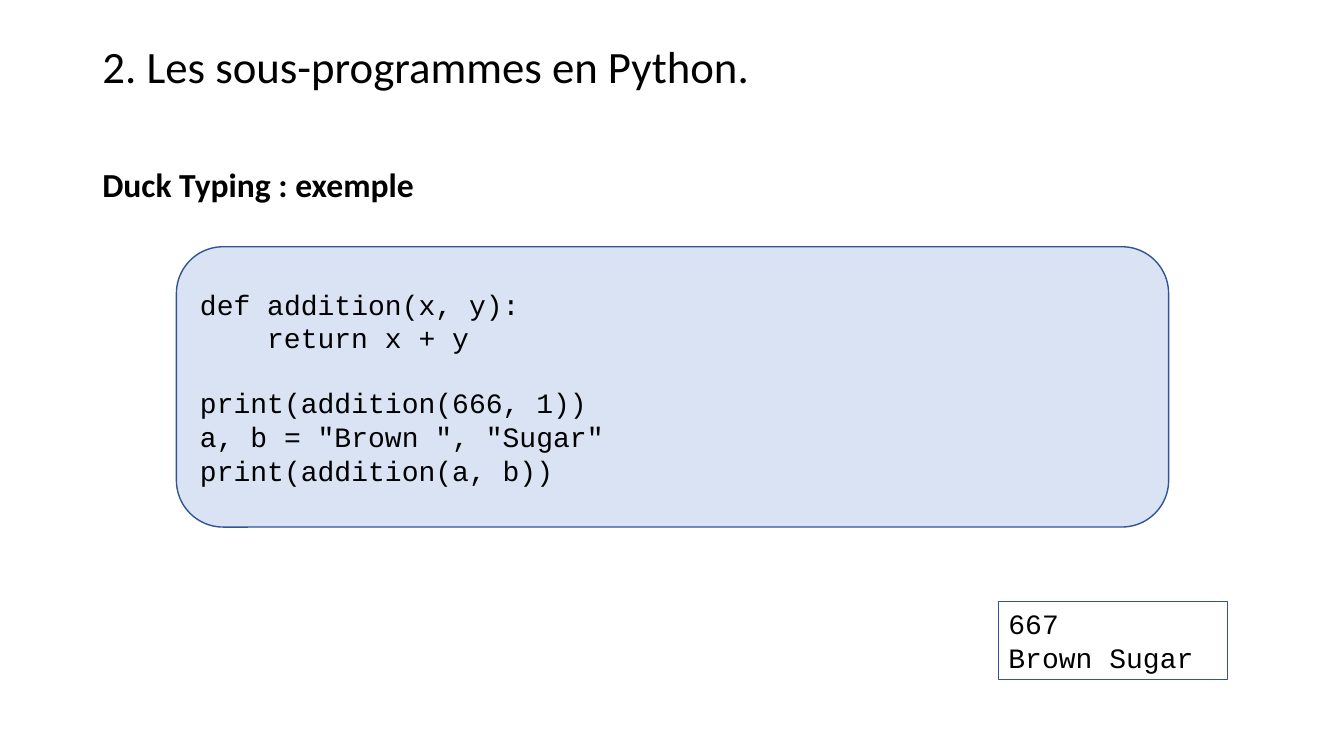
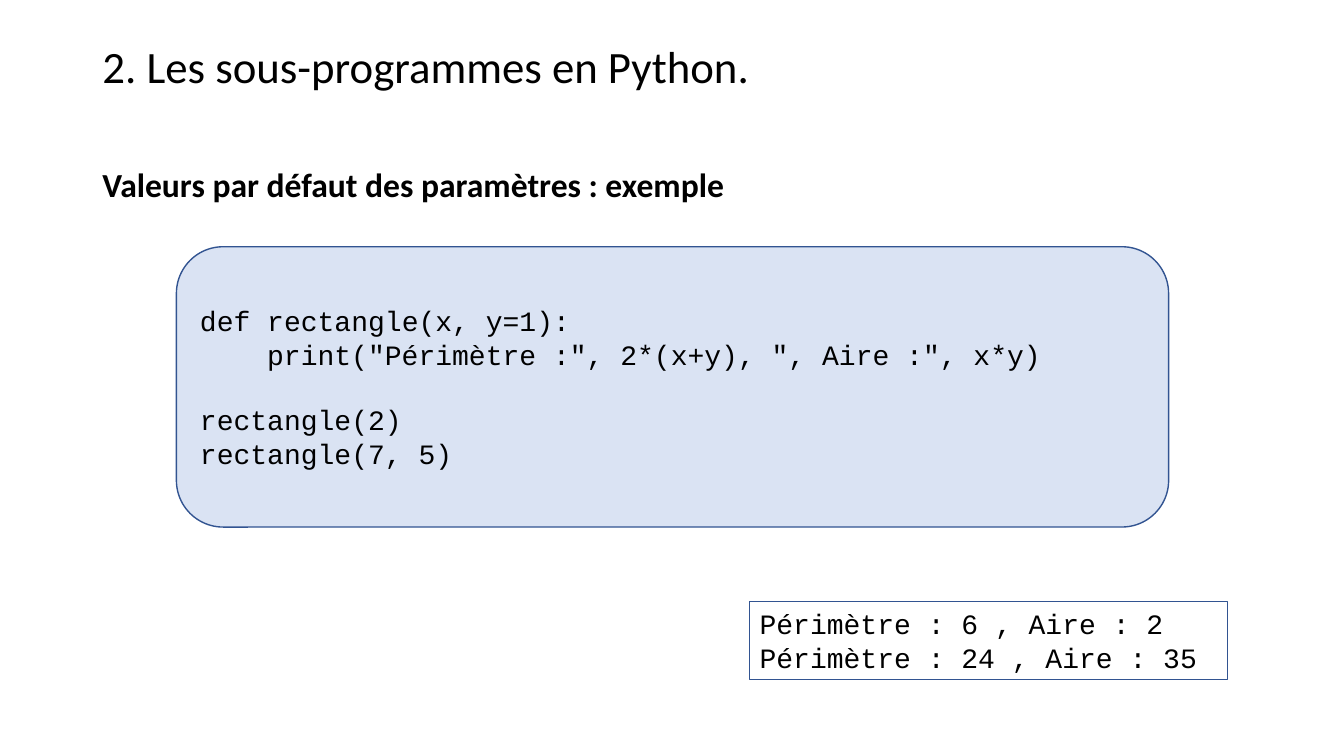
from dataclasses import dataclass

import pptx
import pptx.dml.color
import pptx.enum.shapes
import pptx.enum.text
import pptx.util

EMU_PER_PX = 9525
PAGE_WIDTH, PAGE_HEIGHT = 1280, 720
TITLE_ONLY = 5

BLACK = "000000"
PALE_BLUE = "DAE3F3"
BORDER_BLUE = "325491"
HEADING_FONT = "Calibri"
CODE_FONT = "Courier New"
CODE_SIZE = 20
BLANK_LINE = 22.66
INDENT_PX = 64

SHAPES = pptx.enum.shapes.MSO_SHAPE
ANCHORS = pptx.enum.text.MSO_ANCHOR
FITS = pptx.enum.text.MSO_AUTO_SIZE


@dataclass(frozen=True)
class Area:
    left: int
    top: int
    width: int
    height: int


@dataclass(frozen=True)
class Line:
    text: str
    level: int = 0
    after_gap: bool = False


@dataclass(frozen=True)
class Example:
    heading: str
    code: tuple[Line, ...]
    output: tuple[Line, ...]
    output_width: int


TITLE = "2. Les sous-programmes en Python."
TITLE_AREA = Area(88, 38, 1104, 60)
HEADING_AREA = Area(88, 151, 1105, 48)
CODE_AREA = Area(168, 235, 945, 267)
OUTPUT_RIGHT, OUTPUT_TOP, OUTPUT_HEIGHT = 1169, 573, 74

EXAMPLES = (
    Example(
        "Duck Typing : exemple",
        (
            Line("def addition(x, y):"),
            Line("return x + y", level=1),
            Line("print(addition(666, 1))", after_gap=True),
            Line('a, b = "Brown ", "Sugar"'),
            Line("print(addition(a, b))"),
        ),
        (Line("667"), Line("Brown Sugar")),
        218,
    ),
    Example(
        "Valeurs par défaut des paramètres : exemple",
        (
            Line("def rectangle(x, y=1):"),
            Line('print("Périmètre :", 2*(x+y), ", Aire :", x*y)', level=1),
            Line("rectangle(2)", after_gap=True),
            Line("rectangle(7, 5)"),
        ),
        (Line("Périmètre : 6 , Aire : 2"), Line("Périmètre : 24 , Aire : 35")),
        455,
    ),
)


def px(length: int) -> pptx.util.Emu:
    return pptx.util.Emu(length * EMU_PER_PX)


def color(value: str) -> pptx.dml.color.RGBColor:
    return pptx.dml.color.RGBColor.from_string(value)


def bounds(area: Area) -> tuple:
    return px(area.left), px(area.top), px(area.width), px(area.height)


def write(box, lines: tuple[Line, ...], *, font: str = CODE_FONT, size: int = CODE_SIZE,
          bold: bool = False, spacing: float = 1.0, anchor=ANCHORS.TOP, fit=FITS.NONE) -> None:
    frame = box.text_frame
    frame.word_wrap = True
    frame.auto_size = fit
    frame.vertical_anchor = anchor
    for index, line in enumerate(lines):
        para = frame.add_paragraph() if index else frame.paragraphs[0]
        para.alignment = pptx.enum.text.PP_ALIGN.LEFT
        para.line_spacing = spacing
        if line.after_gap:
            para.space_before = pptx.util.Pt(BLANK_LINE)
        if line.level:
            para._p.get_or_add_pPr().set("marL", str(px(line.level * INDENT_PX)))
        span = para.add_run()
        span.text = line.text
        span.font.name = font
        span.font.size = pptx.util.Pt(size)
        span.font.bold = bold
        span.font.color.rgb = color(BLACK)


def add_panel(page, kind, area: Area, *, line_width: float, fill: str | None = None):
    panel = page.shapes.add_shape(kind, *bounds(area))
    panel.shadow.inherit = False
    if fill:
        panel.fill.solid()
        panel.fill.fore_color.rgb = color(fill)
    else:
        panel.fill.background()
    panel.line.color.rgb = color(BORDER_BLUE)
    panel.line.width = pptx.util.Pt(line_width)
    return panel


def add_example(deck, example: Example) -> None:
    page = deck.slides.add_slide(deck.slide_layouts[TITLE_ONLY])
    title = page.shapes.title
    title.left, title.top, title.width, title.height = bounds(TITLE_AREA)
    write(title, (Line(TITLE),), font=HEADING_FONT, size=32, spacing=0.9)

    heading = page.shapes.add_textbox(*bounds(HEADING_AREA))
    write(heading, (Line(example.heading),), font=HEADING_FONT, size=24, bold=True,
          fit=FITS.SHAPE_TO_FIT_TEXT)

    code = add_panel(page, SHAPES.ROUNDED_RECTANGLE, CODE_AREA, line_width=1, fill=PALE_BLUE)
    write(code, example.code, anchor=ANCHORS.MIDDLE)

    output_area = Area(OUTPUT_RIGHT - example.output_width, OUTPUT_TOP,
                       example.output_width, OUTPUT_HEIGHT)
    output = add_panel(page, SHAPES.RECTANGLE, output_area, line_width=0.75)
    write(output, example.output, fit=FITS.SHAPE_TO_FIT_TEXT)


def main() -> None:
    deck = pptx.Presentation()
    deck.slide_width, deck.slide_height = px(PAGE_WIDTH), px(PAGE_HEIGHT)
    for example in EXAMPLES:
        add_example(deck, example)
    deck.save("out.pptx")


if __name__ == "__main__":
    main()
